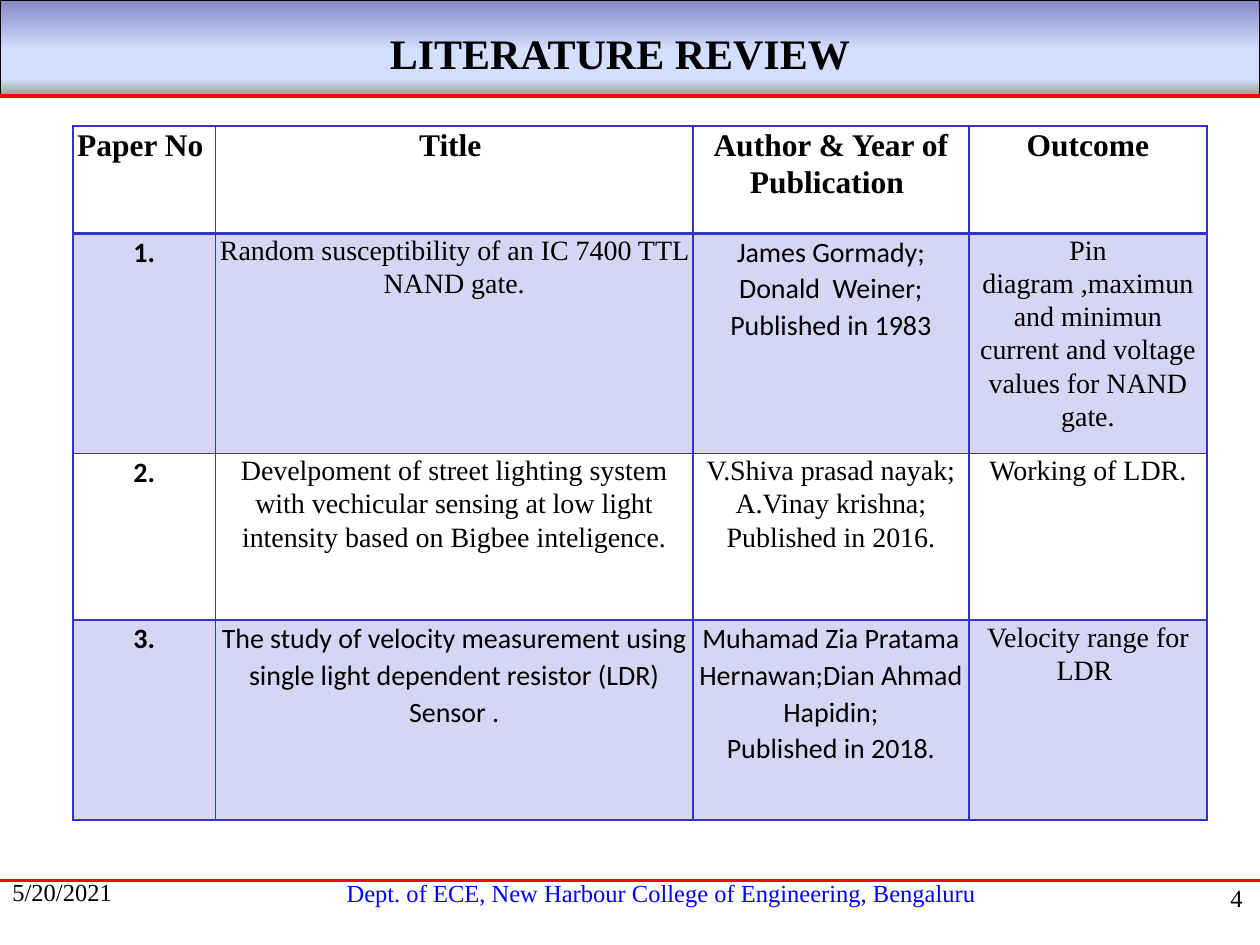
from lxml import etree
from pptx import Presentation
from pptx.dml.color import RGBColor
from pptx.enum.shapes import MSO_CONNECTOR, MSO_SHAPE
from pptx.enum.text import MSO_ANCHOR, MSO_AUTO_SIZE, PP_ALIGN
from pptx.oxml.ns import qn
from pptx.util import Inches, Pt

COLORS = {"text": "000000", "rule": "FF0000", "footer": "0000FF", "grid": "3333CC"}
BAND_STOPS = [(0, "8488C4"), (53, "D4DEFF"), (83, "D4DEFF"), (100, "96AB94")]
SERIF, SANS = "Times New Roman", "Calibri"
COL_WIDTHS = [1.13, 3.79, 2.19, 1.89]
ROW_HEIGHTS = [0.85, 1.75, 1.32, 1.59]
HEADINGS = ["Paper No ", "Title ", "Author & Year of Publication ", "Outcome"]
PAPERS = [
    [("1.", SANS),
     ("Random susceptibility of an IC 7400 TTL NAND gate.", SERIF),
     ("James Gormady;\nDonald  Weiner;\nPublished in 1983", SANS),
     ("Pin diagram ,maximun and minimun current and voltage values for NAND gate.", SERIF)],
    [("2.", SANS),
     ("Develpoment of street lighting system with vechicular sensing at low light "
      "intensity based on Bigbee inteligence.", SERIF),
     ("V.Shiva prasad nayak;\nA.Vinay krishna;\nPublished in 2016.", SERIF),
     ("Working of LDR.", SERIF)],
    [("3.", SANS),
     ("The study of velocity measurement using single light dependent resistor (LDR) Sensor .", SANS),
     ("Muhamad Zia Pratama Hernawan;Dian Ahmad Hapidin;\nPublished in 2018.", SANS),
     ("Velocity range for LDR ", SERIF)],
]


def rgb(name):
    return RGBColor.from_string(COLORS[name])


def write(tf, text, size, align, font=SERIF, bold=False, color="text", spacing=None):
    tf.word_wrap = True
    tf.text = text
    for p in tf.paragraphs:
        p.alignment = align
        p.line_spacing = spacing
        for r in p.runs:
            for name, value in {"size": Pt(size), "name": font, "bold": bold}.items():
                setattr(r.font, name, value)
            r.font.color.rgb = rgb(color)


def add_color(parent, value, alpha=None):
    clr = etree.SubElement(parent, qn("a:srgbClr"), val=value)
    if alpha is not None:
        etree.SubElement(clr, qn("a:alpha"), val=str(alpha * 1000))


def add_rule(s, left, y, width, weight):
    line = s.shapes.add_connector(
        MSO_CONNECTOR.STRAIGHT, Inches(left), Inches(y), Inches(left + width), Inches(y))
    line.line.color.rgb = rgb("rule")
    line.line.width = Pt(weight)
    etree.SubElement(line.element.spPr, qn("a:effectLst"))
    return line


def add_label(s, text, left, top, width, height, align, color="text"):
    box = s.shapes.add_textbox(Inches(left), Inches(top), Inches(width), Inches(height))
    write(box.text_frame, text, 14, align, color=color)


def add_header(s, left, top, width, height):
    band = s.shapes.add_shape(
        MSO_SHAPE.RECTANGLE, Inches(left), Inches(top), Inches(width), Inches(height))
    band.shadow.inherit = False
    band.fill.gradient()
    band.fill.gradient_angle = 270
    stops = band.element.spPr.find(".//" + qn("a:gsLst"))
    for stop in list(stops):
        stops.remove(stop)
    for pos, value in BAND_STOPS:
        add_color(etree.SubElement(stops, qn("a:gs"), pos=str(pos * 1000)), value)
    band.line.color.rgb = rgb("text")
    band.line.width = Pt(0.75)
    rule = add_rule(s, left, top + height + 0.01, width, 2.25)

    title = s.shapes.title
    place = {"left": left + 0.67, "top": top + 0.08, "width": width - 1.5, "height": height - 0.08}
    for name, value in place.items():
        setattr(title, name, Inches(value))
    tf = title.text_frame
    write(tf, "LITERATURE REVIEW", 24, PP_ALIGN.CENTER, bold=True)
    tf.auto_size = MSO_AUTO_SIZE.NONE
    tf.vertical_anchor = MSO_ANCHOR.MIDDLE
    rule.element.addnext(title.element)


def format_cell(cell, shaded, bottom):
    for side in ("left", "right"):
        setattr(cell, f"margin_{side}", Inches(0.02))
    for side in ("top", "bottom"):
        setattr(cell, f"margin_{side}", 0)
    cell.vertical_anchor = MSO_ANCHOR.TOP
    tc_pr = cell._tc.get_or_add_tcPr()
    for side, weight in {"L": 1, "R": 1, "T": 1, "B": bottom}.items():
        line = etree.SubElement(tc_pr, qn(f"a:ln{side}"), w=str(Pt(weight)))
        add_color(etree.SubElement(line, qn("a:solidFill")), COLORS["grid"])
    if shaded:
        add_color(etree.SubElement(tc_pr, qn("a:solidFill")), COLORS["grid"], 20)
    else:
        etree.SubElement(tc_pr, qn("a:noFill"))


def add_review_table(s, left, top, width, height):
    rows = [[(heading, SERIF) for heading in HEADINGS]] + PAPERS
    table = s.shapes.add_table(
        len(rows), len(HEADINGS), Inches(left), Inches(top), Inches(width), Inches(height)).table
    table.first_row = table.horz_banding = False
    for col, size in zip(table.columns, COL_WIDTHS):
        col.width = Inches(size)
    for row, size in zip(table.rows, ROW_HEIGHTS):
        row.height = Inches(size)
    for i, row in enumerate(rows):
        for j, (text, font) in enumerate(row):
            cell = table.cell(i, j)
            write(cell.text_frame, text, 16 if i else 18, PP_ALIGN.CENTER, font,
                  bold=i == 0 or j == 0, spacing=1.07)
            format_cell(cell, shaded=i % 2 == 1, bottom=1 if i else 2)


def add_footer(s, left, top, width, height):
    add_rule(s, left, top + 0.08, width, 1.5)
    add_label(s, "Dept. of ECE, New Harbour College of Engineering, Bengaluru",
              left + 1.71, top + 0.01, 7.08, 0.33, PP_ALIGN.CENTER, "footer")
    add_label(s, "5/20/2021", left, top, 2.08, height, PP_ALIGN.LEFT)
    add_label(s, "4", left + width - 2.12, top + 0.05, 2.08, height, PP_ALIGN.RIGHT)


def main():
    prs = Presentation()
    prs.slide_width, prs.slide_height = Inches(10), Inches(7.5)
    s = prs.slides.add_slide(prs.slide_layouts[5])
    add_header(s, 0, 0, 10, 0.75)
    add_review_table(s, 0.58, 1, 9, 5.5)
    add_footer(s, 0, 6.91, 10, 0.5)
    prs.save("out.pptx")


if __name__ == "__main__":
    main()
